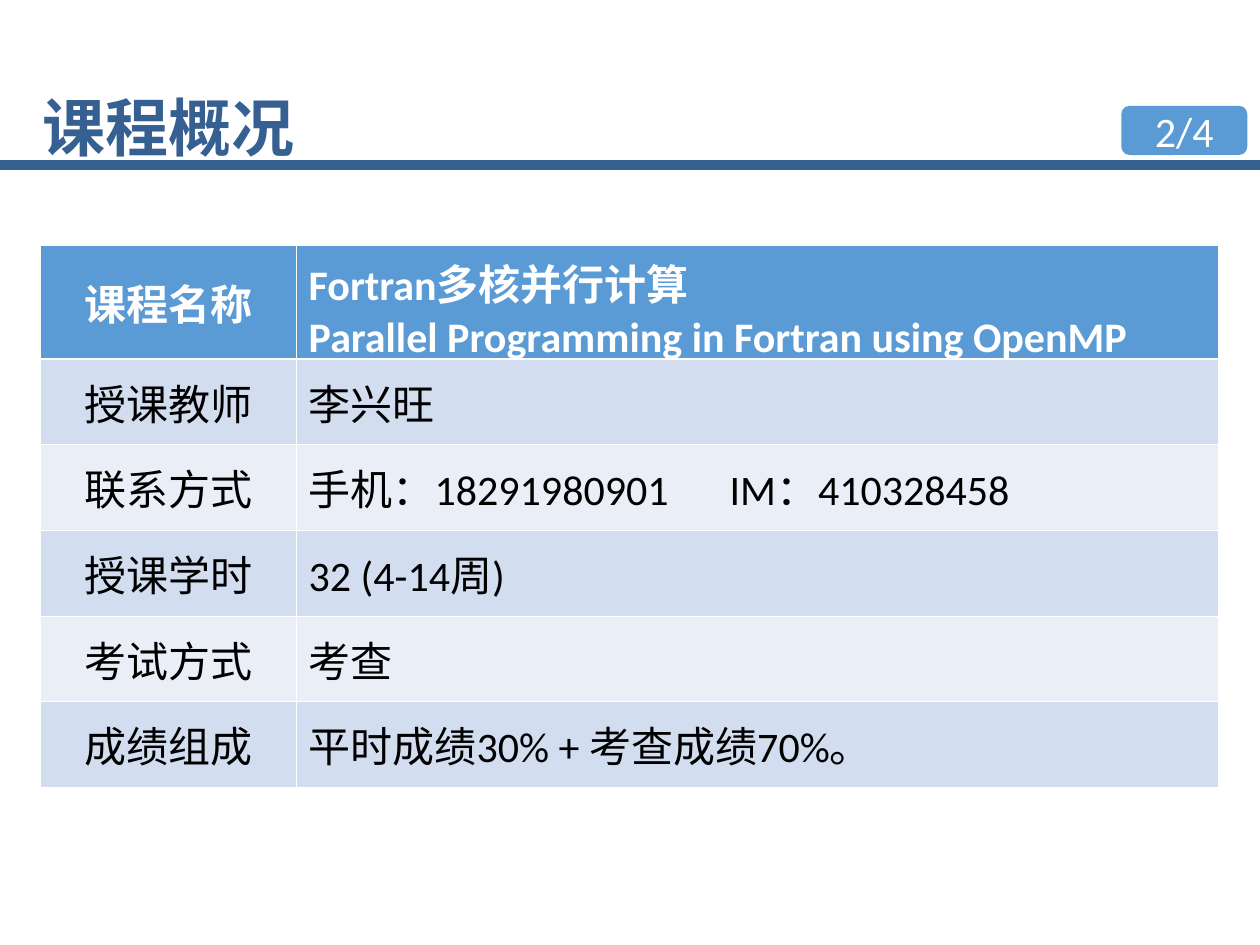
from dataclasses import dataclass

from lxml.etree import SubElement
from pptx import Presentation
from pptx.dml.color import RGBColor
from pptx.enum.shapes import MSO_CONNECTOR, MSO_SHAPE
from pptx.enum.text import MSO_ANCHOR, PP_ALIGN
from pptx.oxml.ns import qn
from pptx.util import Inches, Pt


@dataclass(frozen=True)
class Theme:
    latin: str = "Calibri"
    chinese: str = "Noto Sans CJK SC"
    title_size: float = 36
    body_size: float = 24
    navy: str = "366092"
    blue: str = "5B9BD5"
    bands: tuple[str, str] = ("D2DEEF", "EAEFF7")
    white: str = "FFFFFF"
    black: str = "000000"
    thin_border: float = 0.45
    header_border: float = 1.47


@dataclass(frozen=True)
class CourseRow:
    label: str
    lines: tuple[str, ...]


THEME = Theme()
CONTACT_TAB = Inches(3.34)
COLUMN_WIDTHS = (2.03, 7.32)
HEADER_HEIGHT, ROW_HEIGHT = 0.9, 0.68
COURSE_ROWS = (
    CourseRow("课程名称", ("Fortran多核并行计算",
                       "Parallel Programming in Fortran using OpenMP")),
    CourseRow("授课教师", ("李兴旺",)),
    CourseRow("联系方式", ("手机：18291980901\tIM：410328458",)),
    CourseRow("授课学时", ("32 (4-14周)",)),
    CourseRow("考试方式", ("考查",)),
    CourseRow("成绩组成", ("平时成绩30% + 考查成绩70%。",)),
)


def color(value: str) -> RGBColor:
    return RGBColor.from_string(value)


def write_paragraph(paragraph, text: str, size: float, text_color: str,
                    bold: bool = False, align=PP_ALIGN.LEFT,
                    latin: str = THEME.latin) -> None:
    paragraph.text = text
    paragraph.alignment = align
    properties = paragraph._p.get_or_add_pPr()
    if "\t" in text:
        tab_list = SubElement(properties, qn("a:tabLst"))
        SubElement(tab_list, qn("a:tab"), pos=str(CONTACT_TAB), algn="l")
    font = paragraph.font
    font.size, font.bold, font.name = Pt(size), bold, latin
    font.color.rgb = color(text_color)
    SubElement(properties.find(qn("a:defRPr")), qn("a:ea"), typeface=THEME.chinese)


def set_borders(cell, top: float, bottom: float) -> None:
    """Draw white cell borders; they must precede the cell fill in the XML."""
    properties = cell._tc.get_or_add_tcPr()
    widths = {"lnL": THEME.thin_border, "lnR": THEME.thin_border,
              "lnT": top, "lnB": bottom}
    for side, width in widths.items():
        line = SubElement(properties, qn(f"a:{side}"), w=str(Pt(width)))
        fill = SubElement(line, qn("a:solidFill"))
        SubElement(fill, qn("a:srgbClr"), val=THEME.white)


def fill_cell(cell, lines: tuple[str, ...], row: int, align) -> None:
    is_header = row == 0
    set_borders(cell,
                top=THEME.header_border if row == 1 else THEME.thin_border,
                bottom=THEME.header_border if is_header else THEME.thin_border)
    cell.fill.solid()
    cell.fill.fore_color.rgb = color(
        THEME.blue if is_header else THEME.bands[(row - 1) % 2])
    cell.vertical_anchor = MSO_ANCHOR.MIDDLE
    frame = cell.text_frame
    for index, text in enumerate(lines):
        paragraph = frame.add_paragraph() if index else frame.paragraphs[0]
        write_paragraph(paragraph, text, THEME.body_size,
                        THEME.white if is_header else THEME.black,
                        bold=is_header, align=align)


def add_title_rule(slide) -> None:
    rule = slide.shapes.add_connector(MSO_CONNECTOR.STRAIGHT, Inches(0),
                                      Inches(1.31), Inches(10), Inches(1.31))
    rule.line.color.rgb = color(THEME.navy)
    rule.line.width = Pt(6)
    SubElement(rule._element.spPr, qn("a:effectLst"))


def add_page_badge(slide, text: str) -> None:
    badge = slide.shapes.add_shape(MSO_SHAPE.ROUNDED_RECTANGLE, Inches(8.9),
                                   Inches(0.84), Inches(1), Inches(0.39))
    badge.shadow.inherit = False
    badge.fill.solid()
    badge.fill.fore_color.rgb = color(THEME.blue)
    badge.line.fill.background()
    frame = badge.text_frame
    frame.word_wrap = False
    frame.vertical_anchor = MSO_ANCHOR.MIDDLE
    write_paragraph(frame.paragraphs[0], text, THEME.body_size, THEME.white,
                    align=PP_ALIGN.CENTER)


def add_title(slide, text: str) -> None:
    title = slide.shapes.add_textbox(Inches(0.24), Inches(0.72),
                                     Inches(7.35), Inches(0.64))
    frame = title.text_frame
    frame.word_wrap = True
    frame.vertical_anchor = MSO_ANCHOR.BOTTOM
    paragraph = frame.paragraphs[0]
    paragraph.line_spacing = 0.9
    write_paragraph(paragraph, text, THEME.title_size, THEME.navy, bold=True,
                    latin=THEME.chinese)


def add_course_table(slide, rows: tuple[CourseRow, ...]) -> None:
    height = HEADER_HEIGHT + ROW_HEIGHT * (len(rows) - 1)
    table = slide.shapes.add_table(
        len(rows), len(COLUMN_WIDTHS), Inches(0.32), Inches(1.95),
        Inches(sum(COLUMN_WIDTHS)), Inches(height)).table
    for column, width in zip(table.columns, COLUMN_WIDTHS):
        column.width = Inches(width)
    for index, row in enumerate(rows):
        table.rows[index].height = Inches(ROW_HEIGHT if index else HEADER_HEIGHT)
        fill_cell(table.cell(index, 0), (row.label,), index, PP_ALIGN.CENTER)
        fill_cell(table.cell(index, 1), row.lines, index, PP_ALIGN.LEFT)


def main() -> None:
    presentation = Presentation()
    presentation.slide_width = Inches(10)
    presentation.slide_height = Inches(7.5)
    slide = presentation.slides.add_slide(presentation.slide_layouts[6])
    add_title_rule(slide)
    add_page_badge(slide, "2/4")
    add_title(slide, "课程概况")
    add_course_table(slide, COURSE_ROWS)
    presentation.save("out.pptx")


if __name__ == "__main__":
    main()
